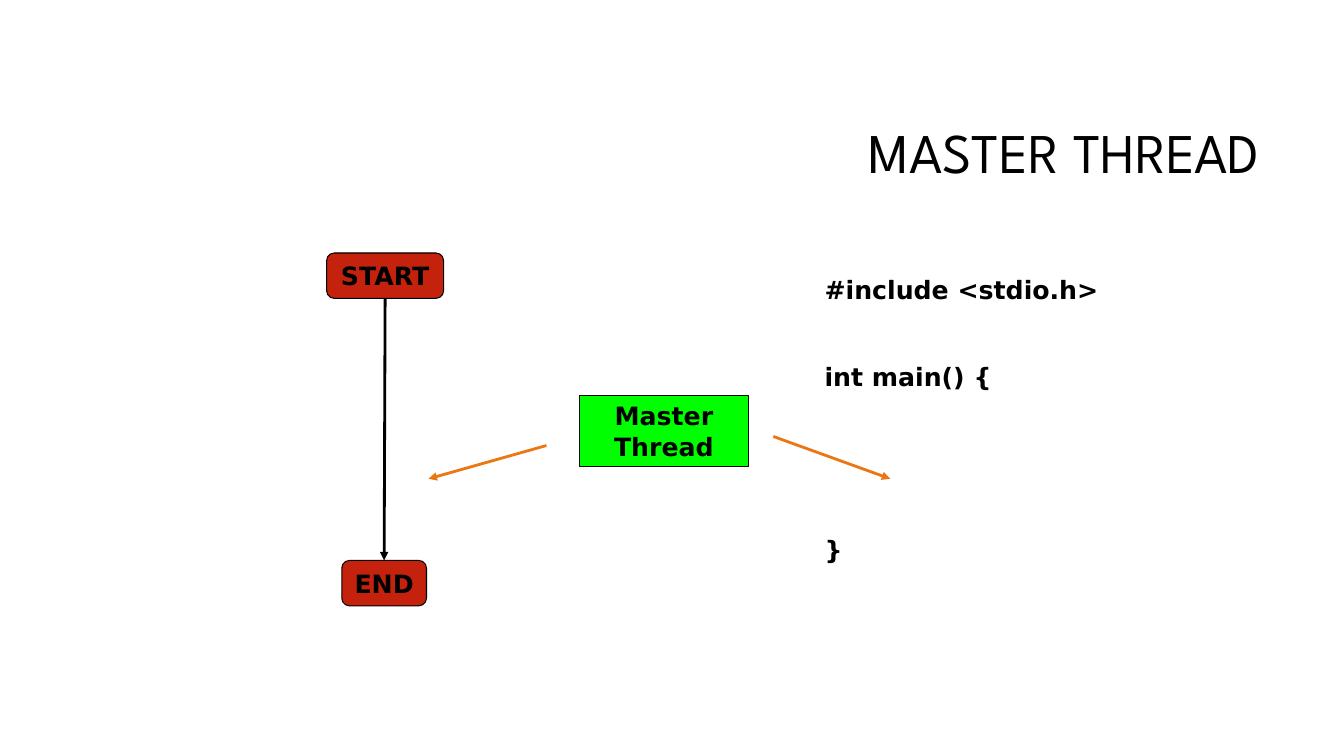
from dataclasses import dataclass

from lxml import etree
from pptx import Presentation
from pptx import util as u
from pptx.dml.color import RGBColor
from pptx.enum import shapes, text
from pptx.oxml.ns import qn


@dataclass(frozen=True)
class Theme:
    title_font: str = "League Spartan"
    body_font: str = "DejaVu Sans"
    title_size: int = 40
    body_size: int = 18
    outline: float = 0.75
    arrow: float = 2
    ink: RGBColor = RGBColor(0x00, 0x00, 0x00)
    terminal: RGBColor = RGBColor(0xC4, 0x22, 0x0D)
    thread: RGBColor = RGBColor(0x00, 0xFF, 0x00)
    pointer: RGBColor = RGBColor(0xEB, 0x77, 0x12)


THEME = Theme()


def add_span(para, words, font, size, bold):
    span = para.add_run()
    span.text = words
    span.font.name = font
    span.font.size = u.Pt(size)
    span.font.bold = bold
    span.font.color.rgb = THEME.ink


def add_title(page, left, top, width, height, words):
    title = page.shapes.title
    title.left, title.top = u.Inches(left), u.Inches(top)
    title.width, title.height = u.Inches(width), u.Inches(height)
    frame = title.text_frame
    frame.auto_size = text.MSO_AUTO_SIZE.NONE
    frame.vertical_anchor = text.MSO_ANCHOR.MIDDLE
    para = frame.paragraphs[0]
    para.alignment = text.PP_ALIGN.RIGHT
    para.line_spacing = 0.9
    add_span(para, words, THEME.title_font, THEME.title_size, False)


def add_node(page, kind, left, top, width, height, words, fill, wrap):
    node = page.shapes.add_shape(kind, u.Inches(left), u.Inches(top),
                                 u.Inches(width), u.Inches(height))
    node.shadow.inherit = False
    node.fill.solid()
    node.fill.fore_color.rgb = fill
    node.line.color.rgb = THEME.ink
    node.line.width = u.Pt(THEME.outline)
    frame = node.text_frame
    frame.word_wrap = wrap
    frame.vertical_anchor = text.MSO_ANCHOR.MIDDLE
    para = frame.paragraphs[0]
    para.alignment = text.PP_ALIGN.CENTER
    add_span(para, words, THEME.body_font, THEME.body_size, True)
    return node


def add_arrow(page, start, end, color):
    arrow = page.shapes.add_connector(
        shapes.MSO_CONNECTOR.STRAIGHT,
        *(u.Inches(value) for value in (*start, *end)))
    arrow.line.color.rgb = color
    arrow.line.width = u.Pt(THEME.arrow)
    etree.SubElement(arrow.line._get_or_add_ln(), qn("a:tailEnd"), type="triangle")
    etree.SubElement(arrow._element.spPr, qn("a:effectLst"))
    return arrow


def add_flow(page, left, top, width, height):
    """Start and end terminals joined by the thread's timeline."""
    kind = shapes.MSO_SHAPE.FLOWCHART_ALTERNATE_PROCESS
    node_height = 0.45
    bottom = top + height - node_height
    end_width = 0.84
    end_left = left + 0.15
    start = add_node(page, kind, left, top, width, node_height,
                     "START", THEME.terminal, False)
    end = add_node(page, kind, end_left, bottom, end_width, node_height,
                   "END", THEME.terminal, False)
    timeline = add_arrow(page, (left + width / 2, top + node_height),
                         (end_left + end_width / 2, bottom), THEME.ink)
    timeline.begin_connect(start, 2)
    timeline.end_connect(end, 0)


def add_code(page, left, top, width, height):
    """Source listing; each line carries the gap above it in points."""
    box = page.shapes.add_textbox(u.Inches(left), u.Inches(top),
                                  u.Inches(width), u.Inches(height))
    frame = box.text_frame
    frame.word_wrap = True
    lines = (("#include <stdio.h>", 0), ("int main() {", 40.5), ("}", 102))
    for index, (words, gap) in enumerate(lines):
        para = frame.add_paragraph() if index else frame.paragraphs[0]
        para.space_before = u.Pt(gap)
        add_span(para, words, THEME.body_font, THEME.body_size, True)


def add_callout(page, left, top, width, height):
    """Thread label with arrows to the timeline and the code."""
    add_node(page, shapes.MSO_SHAPE.RECTANGLE, left, top, width, height,
             "Master Thread", THEME.thread, True)
    right = left + width
    tip = top + 0.83
    add_arrow(page, (right + 0.25, top + 0.41), (right + 1.41, tip), THEME.pointer)
    add_arrow(page, (left - 0.33, top + 0.5), (left - 1.5, tip), THEME.pointer)


def main():
    deck = Presentation()
    deck.slide_width, deck.slide_height = u.Inches(13.33), u.Inches(7.5)
    page = deck.slides.add_slide(deck.slide_layouts.get_by_name("Title Only"))
    add_title(page, 3.17, 0.84, 9.42, 1.41, "MASTER THREAD")
    add_flow(page, 3.24, 2.51, 1.16, 3.5)
    add_code(page, 8.08, 2.67, 3, 3.11)
    add_callout(page, 5.75, 3.92, 1.67, 0.71)
    deck.save("out.pptx")


if __name__ == "__main__":
    main()
